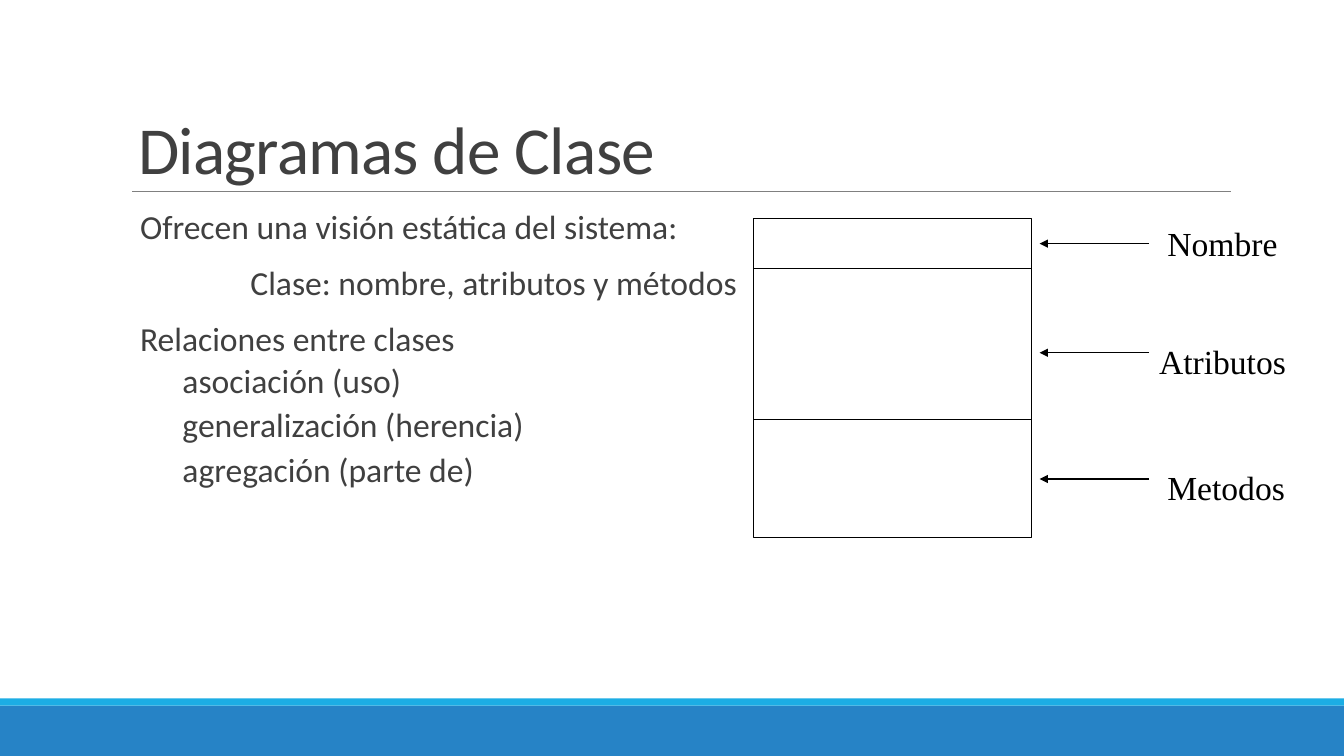
from lxml import etree
from pptx import Presentation
from pptx.dml.color import RGBColor
from pptx.enum.shapes import MSO_CONNECTOR, MSO_SHAPE
from pptx.enum.text import MSO_ANCHOR
from pptx.oxml.ns import qn
from pptx.util import Cm, Pt

RECTANGLE = MSO_SHAPE.RECTANGLE
STRAIGHT = MSO_CONNECTOR.STRAIGHT
BOTTOM = MSO_ANCHOR.BOTTOM


def color(value):
    return RGBColor.from_string(value)


def add_line(shapes, start_x, end_x, y, line_color, width):
    connector = shapes.add_connector(STRAIGHT, Cm(start_x), Cm(y), Cm(end_x), Cm(y))
    connector.line.color.rgb = color(line_color)
    connector.line.width = Pt(width)
    etree.SubElement(connector._element.spPr, qn("a:effectLst"))
    return connector


presentation = Presentation()
presentation.slide_width = Cm(33.87)
presentation.slide_height = Cm(19.05)
slide = presentation.slides.add_slide(presentation.slide_layouts[6])

for top, height, fill in [(17.78, 1.27, "2683C6"), (17.6, 0.18, "1CADE4")]:
    band = slide.shapes.add_shape(RECTANGLE, 0, Cm(top), presentation.slide_width, Cm(height))
    band.shadow.inherit = False
    band.fill.solid()
    band.fill.fore_color.rgb = color(fill)
    band.line.fill.background()

add_line(slide.shapes, 3.33, 31.01, 4.83, "808080", 0.5)

title = slide.shapes.add_textbox(Cm(3.23), Cm(1.7), Cm(21.59), Cm(3.18))
title.text_frame.word_wrap = True
title.text_frame.vertical_anchor = BOTTOM
paragraph = title.text_frame.paragraphs[0]
paragraph.line_spacing = 0.85
run = paragraph.add_run()
run.text = "Diagramas de Clase"
title_format = {"size": Pt(48), "name": "Calibri"}
for name, value in title_format.items():
    setattr(run.font, name, value)
run.font.color.rgb = color("404040")
run.font._element.set("spc", "-50")

body = slide.shapes.add_textbox(Cm(3.53), Cm(5.18), Cm(22.86), Cm(11.43))
body_frame = body.text_frame
body_frame.word_wrap = True
body_frame.margin_left = body_frame.margin_right = 0

main_format = {"line_spacing": 0.9, "space_before": Pt(12), "space_after": Pt(2)}
detail_format = {"line_spacing": 0.9, "space_before": Pt(2), "space_after": Pt(4)}
body_lines = [
    ("Ofrecen una visión estática del sistema:", 0, main_format),
    ("Clase: nombre, atributos y métodos", 2.78, main_format),
    ("Relaciones entre clases", 0, main_format),
    ("asociación (uso)", 1.07, detail_format),
    ("generalización (herencia)", 1.07, detail_format),
    ("agregación (parte de)", 1.07, detail_format),
]
body_font = {"size": Pt(24), "name": "Calibri"}
for index, (text, indent, paragraph_format) in enumerate(body_lines):
    paragraph = body_frame.add_paragraph() if index else body_frame.paragraphs[0]
    paragraph.text = text
    for name, value in paragraph_format.items():
        setattr(paragraph, name, value)
    if index == 0:
        paragraph.space_before = Pt(0)
    paragraph._p.get_or_add_pPr().set("marL", str(Cm(indent)))
    for name, value in body_font.items():
        setattr(paragraph.font, name, value)
    paragraph.font.color.rgb = color("404040")

class_diagram = slide.shapes.add_group_shape()
class_box = class_diagram.shapes.add_shape(RECTANGLE, Cm(19), Cm(5.5), Cm(6.99), Cm(8.05))
class_box.shadow.inherit = False
class_box.fill.solid()
class_box.fill.fore_color.rgb = color("FFFFFF")
class_box.line.color.rgb = color("000000")
class_box.line.width = Pt(0.75)
for divider_y in (6.77, 10.58):
    add_line(class_diagram.shapes, 19, 25.99, divider_y, "000000", 0.75)

label_font = {"size": Pt(24), "name": "Times New Roman"}
labels = [
    ("Nombre", 29.17, 5.5, 6.14),
    ("Atributos", 28.96, 8.47, 8.89),
    ("Metodos", 29.17, 11.64, 12.07),
]
for text, left, top, arrow_y in labels:
    arrow = add_line(slide.shapes, 28.96, 26.2, arrow_y, "000000", 0.75)
    etree.SubElement(arrow.line._get_or_add_ln(), qn("a:tailEnd"), type="triangle")
    label = slide.shapes.add_textbox(Cm(left), Cm(top), Cm(4.24), Cm(1.27))
    label.text_frame.word_wrap = True
    paragraph = label.text_frame.paragraphs[0]
    paragraph.text = text
    for name, value in label_font.items():
        setattr(paragraph.font, name, value)
    paragraph.font.color.rgb = color("000000")

presentation.save("out.pptx")
